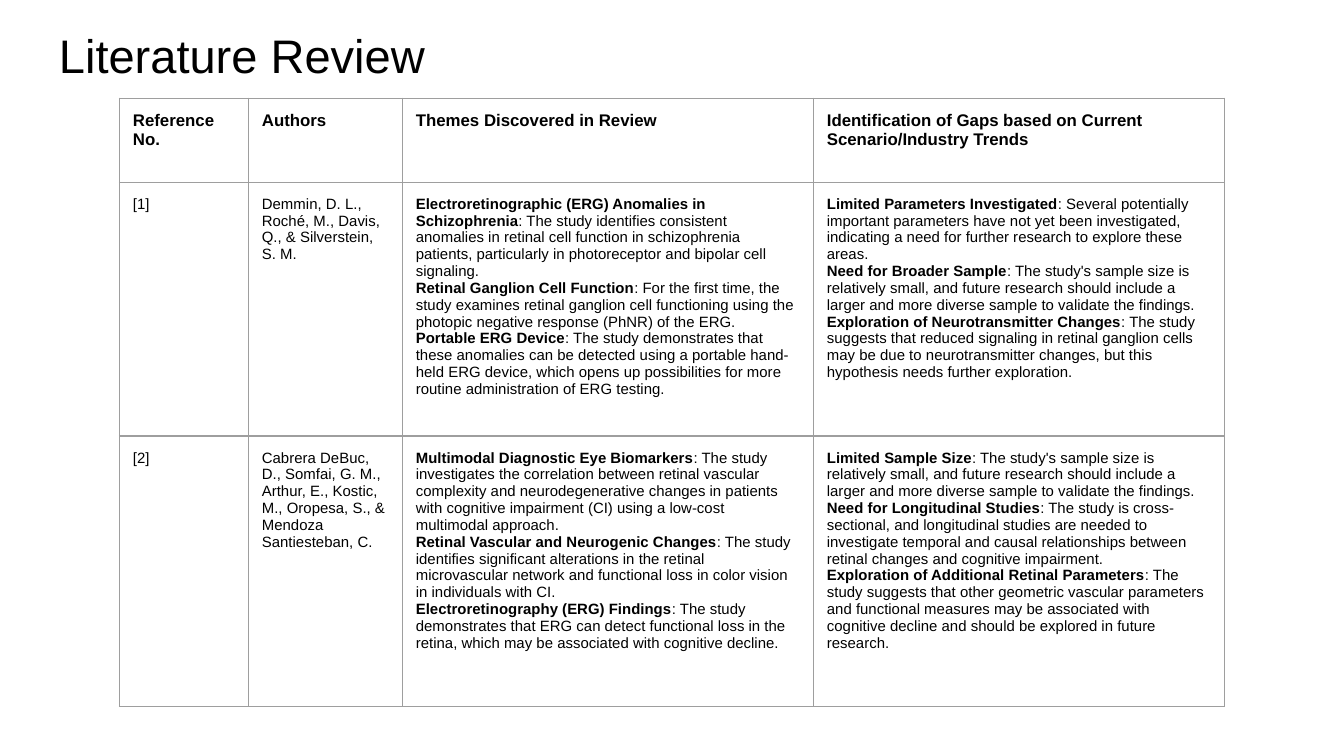
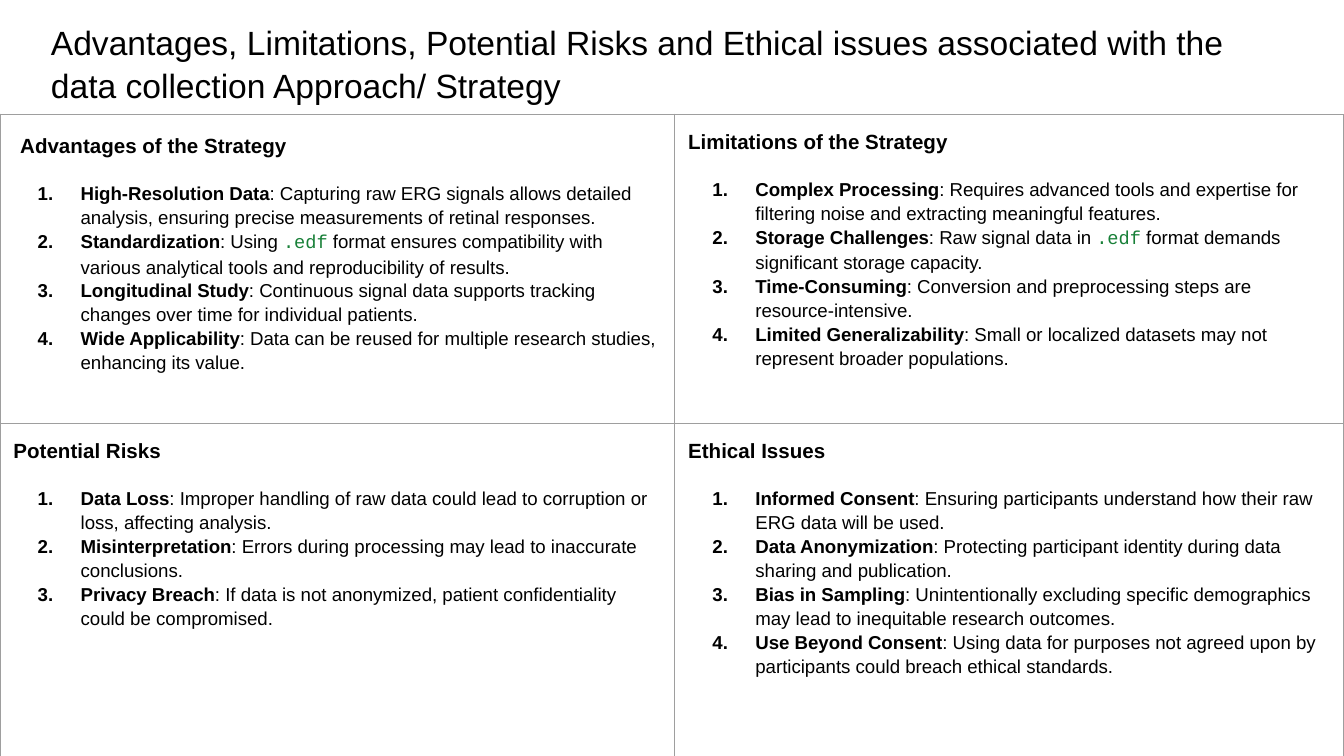
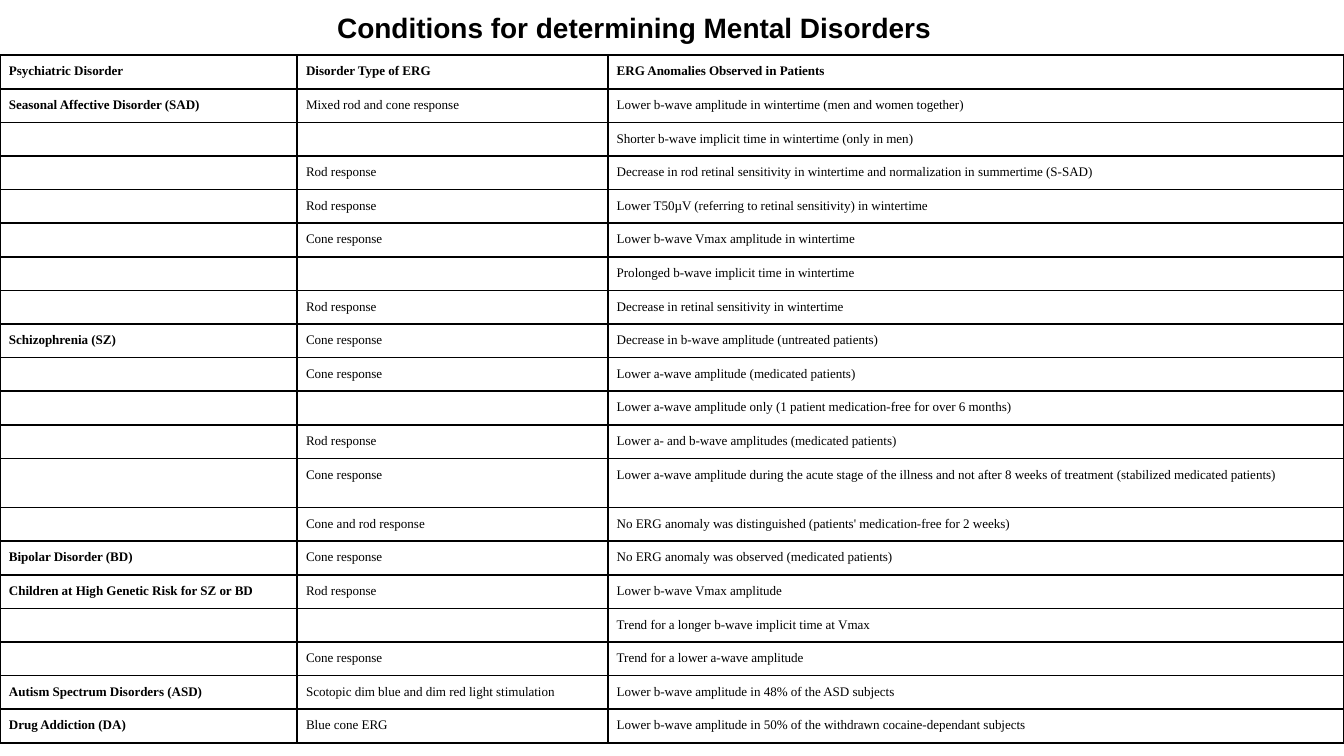
from lxml.etree import SubElement
from pptx import Presentation
from pptx.dml.color import RGBColor
from pptx.enum.text import MSO_ANCHOR, PP_ALIGN
from pptx.oxml import parse_xml
from pptx.oxml.ns import nsdecls, qn
from pptx.util import Pt

BLACK, GREY, GREEN = "000000", "9E9E9E", "188038"
SANS, SERIF, MONO = "Arial", "Times New Roman", "Courier New"
CODE_WORD = ".edf"
TITLE_SPACING = 1.07
LIST_LEFT, LIST_HANG = 36, 23

REVIEW_HEADS = [
    "Reference No.",
    "Authors",
    "Themes Discovered in Review",
    "Identification of Gaps based on Current Scenario/Industry Trends",
]
REVIEWS = [
    (
        "[1]",
        "Demmin, D. L., Roché, M., Davis, Q., & Silverstein, S. M.",
        [
            ("Electroretinographic (ERG) Anomalies in Schizophrenia",
             ": The study identifies consistent anomalies in retinal cell function in schizophrenia "
             "patients, particularly in photoreceptor and bipolar cell signaling."),
            ("Retinal Ganglion Cell Function",
             ": For the first time, the study examines retinal ganglion cell functioning using the "
             "photopic negative response (PhNR) of the ERG."),
            ("Portable ERG Device",
             ": The study demonstrates that these anomalies can be detected using a portable hand-held "
             "ERG device, which opens up possibilities for more routine administration of ERG testing."),
        ],
        [
            ("Limited Parameters Investigated",
             ": Several potentially important parameters have not yet been investigated, indicating a "
             "need for further research to explore these areas."),
            ("Need for Broader Sample",
             ": The study's sample size is relatively small, and future research should include a "
             "larger and more diverse sample to validate the findings."),
            ("Exploration of Neurotransmitter Changes",
             ": The study suggests that reduced signaling in retinal ganglion cells may be due to "
             "neurotransmitter changes, but this hypothesis needs further exploration."),
        ],
    ),
    (
        "[2]",
        "Cabrera DeBuc, D., Somfai, G. M., Arthur, E., Kostic, M., Oropesa, S., & Mendoza Santiesteban, C.",
        [
            ("Multimodal Diagnostic Eye Biomarkers",
             ": The study investigates the correlation between retinal vascular complexity and "
             "neurodegenerative changes in patients with cognitive impairment (CI) using a low-cost "
             "multimodal approach."),
            ("Retinal Vascular and Neurogenic Changes",
             ": The study identifies significant alterations in the retinal microvascular network and "
             "functional loss in color vision in individuals with CI."),
            ("Electroretinography (ERG) Findings",
             ": The study demonstrates that ERG can detect functional loss in the retina, which may be "
             "associated with cognitive decline."),
        ],
        [
            ("Limited Sample Size",
             ": The study's sample size is relatively small, and future research should include a "
             "larger and more diverse sample to validate the findings."),
            ("Need for Longitudinal Studies",
             ": The study is cross-sectional, and longitudinal studies are needed to investigate "
             "temporal and causal relationships between retinal changes and cognitive impairment."),
            ("Exploration of Additional Retinal Parameters",
             ": The study suggests that other geometric vascular parameters and functional measures may "
             "be associated with cognitive decline and should be explored in future research."),
        ],
    ),
]

STRATEGY = [
    [
        ("Advantages of the Strategy", [
            ("High-Resolution Data",
             ": Capturing raw ERG signals allows detailed analysis, ensuring precise measurements of "
             "retinal responses."),
            ("Standardization",
             ": Using .edf format ensures compatibility with various analytical tools and "
             "reproducibility of results."),
            ("Longitudinal Study",
             ": Continuous signal data supports tracking changes over time for individual patients."),
            ("Wide Applicability",
             ": Data can be reused for multiple research studies, enhancing its value."),
        ]),
        ("Limitations of the Strategy", [
            ("Complex Processing",
             ": Requires advanced tools and expertise for filtering noise and extracting meaningful "
             "features."),
            ("Storage Challenges",
             ": Raw signal data in .edf format demands significant storage capacity."),
            ("Time-Consuming",
             ": Conversion and preprocessing steps are resource-intensive."),
            ("Limited Generalizability",
             ": Small or localized datasets may not represent broader populations."),
        ]),
    ],
    [
        ("Potential Risks", [
            ("Data Loss",
             ": Improper handling of raw data could lead to corruption or loss, affecting analysis."),
            ("Misinterpretation",
             ": Errors during processing may lead to inaccurate conclusions."),
            ("Privacy Breach",
             ": If data is not anonymized, patient confidentiality could be compromised."),
        ]),
        ("Ethical Issues", [
            ("Informed Consent",
             ": Ensuring participants understand how their raw ERG data will be used."),
            ("Data Anonymization",
             ": Protecting participant identity during data sharing and publication."),
            ("Bias in Sampling",
             ": Unintentionally excluding specific demographics may lead to inequitable research "
             "outcomes."),
            ("Use Beyond Consent",
             ": Using data for purposes not agreed upon by participants could breach ethical "
             "standards."),
        ]),
    ],
]

DISORDERS = [
    ("Psychiatric Disorder", "Disorder Type of ERG", "ERG Anomalies Observed in Patients"),
    ("Seasonal Affective Disorder (SAD)", "Mixed rod and cone response",
     "Lower b-wave amplitude in wintertime (men and women together)"),
    ("", "", "Shorter b-wave implicit time in wintertime (only in men)"),
    ("", "Rod response",
     "Decrease in rod retinal sensitivity in wintertime and normalization in summertime (S-SAD)"),
    ("", "Rod response", "Lower T50µV (referring to retinal sensitivity) in wintertime"),
    ("", "Cone response", "Lower b-wave Vmax amplitude in wintertime"),
    ("", "", "Prolonged b-wave implicit time in wintertime"),
    ("", "Rod response", "Decrease in retinal sensitivity in wintertime"),
    ("Schizophrenia (SZ)", "Cone response", "Decrease in b-wave amplitude (untreated patients)"),
    ("", "Cone response", "Lower a-wave amplitude (medicated patients)"),
    ("", "", "Lower a-wave amplitude only (1 patient medication-free for over 6 months)"),
    ("", "Rod response", "Lower a- and b-wave amplitudes (medicated patients)"),
    ("", "Cone response",
     "Lower a-wave amplitude during the acute stage of the illness and not after 8 weeks of treatment "
     "(stabilized medicated patients)"),
    ("", "Cone and rod response",
     "No ERG anomaly was distinguished (patients' medication-free for 2 weeks)"),
    ("Bipolar Disorder (BD)", "Cone response", "No ERG anomaly was observed (medicated patients)"),
    ("Children at High Genetic Risk for SZ or BD", "Rod response", "Lower b-wave Vmax amplitude"),
    ("", "", "Trend for a longer b-wave implicit time at Vmax"),
    ("", "Cone response", "Trend for a lower a-wave amplitude"),
    ("Autism Spectrum Disorders (ASD)", "Scotopic dim blue and dim red light stimulation",
     "Lower b-wave amplitude in 48% of the ASD subjects"),
    ("Drug Addiction (DA)", "Blue cone ERG",
     "Lower b-wave amplitude in 50% of the withdrawn cocaine-dependant subjects"),
]
TALL_ROW = 12


def color(value):
    """Turn a hex string into a colour."""
    return RGBColor.from_string(value)


def apply(target, values):
    """Set every attribute named in a dict on an object."""
    for name, value in values.items():
        setattr(target, name, value)


def add_span(para, text, size, bold=False, font=SANS, ink=BLACK):
    """Append one formatted run to a paragraph."""
    span = para.add_run()
    span.text = text
    apply(span.font, {"name": font, "size": Pt(size), "bold": bold})
    span.font.color.rgb = color(ink)


def add_point(para, lead, rest, size):
    """Write a bold lead and plain text, with the file suffix as code."""
    add_span(para, lead, size, bold=True)
    before, code, after = rest.partition(CODE_WORD)
    add_span(para, before, size)
    if code:
        add_span(para, code, size, font=MONO, ink=GREEN)
        add_span(para, after, size)


def next_para(frame, index):
    """Return the first paragraph of a frame or a new one after it."""
    return frame.add_paragraph() if index else frame.paragraphs[0]


def number_para(para, size):
    """Give a paragraph a hanging automatic number."""
    props = para._p.get_or_add_pPr()
    apply_indent(props, LIST_LEFT, -LIST_HANG)
    for xml in (
        f'<a:buClr {nsdecls("a")}><a:srgbClr val="{BLACK}"/></a:buClr>',
        f'<a:buSzPts {nsdecls("a")} val="{size * 100}"/>',
        f'<a:buFont {nsdecls("a")} typeface="{SANS}"/>',
        f'<a:buAutoNum {nsdecls("a")} type="arabicPeriod"/>',
    ):
        props.append(parse_xml(xml))


def apply_indent(props, left, first):
    """Set the left margin and first-line indent of a paragraph."""
    props.set("marL", str(Pt(left)))
    props.set("indent", str(Pt(first)))


def add_title(page, box, text, size, bold=False):
    """Place a page title in a box."""
    frame = page.shapes.add_textbox(*map(Pt, box)).text_frame
    margins = {f"margin_{side}": Pt(7.2) for side in ("left", "right", "top", "bottom")}
    apply(frame, {"word_wrap": True, "vertical_anchor": MSO_ANCHOR.TOP, **margins})
    para = frame.paragraphs[0]
    para.line_spacing = TITLE_SPACING
    add_span(para, text, size, bold)


def add_grid(page, corner, widths, heights, line, weight, margin):
    """Place an unfilled table with even borders and margins."""
    box = (*corner, sum(widths), sum(heights))
    grid = page.shapes.add_table(len(heights), len(widths), *map(Pt, box)).table
    apply(grid, {"first_row": False, "horz_banding": False})
    for column, width in zip(grid.columns, widths):
        column.width = Pt(width)
    for row, height in zip(grid.rows, heights):
        row.height = Pt(height)
    for cell in grid.iter_cells():
        apply(cell, {f"margin_{side}": Pt(margin) for side in ("left", "right", "top", "bottom")})
        cell.fill.background()
        props = cell._tc.get_or_add_tcPr()
        for index, side in enumerate("LRTB"):
            props.insert(index, parse_xml(
                f'<a:ln{side} {nsdecls("a")} w="{Pt(weight)}"><a:solidFill>'
                f'<a:srgbClr val="{line}"/></a:solidFill></a:ln{side}>'))
    return grid


def build_review(page):
    """Build the literature review page."""
    add_title(page, (24.5, 5, 671, 45.4), "Literature Review", 25.2)
    grid = add_grid(page, (64, 52.6), (69.1, 82.5, 220.2, 220.2), (45, 136, 144.8), GREY, 0.75, 7.2)
    for column, head in enumerate(REVIEW_HEADS):
        add_span(grid.cell(0, column).text_frame.paragraphs[0], head, 9, bold=True)
    for row, (*labels, themes, gaps) in enumerate(REVIEWS, 1):
        for column, label in enumerate(labels):
            add_span(grid.cell(row, column).text_frame.paragraphs[0], label, 8)
        for column, points in enumerate((themes, gaps), len(labels)):
            frame = grid.cell(row, column).text_frame
            for index, point in enumerate(points):
                add_point(next_para(frame, index), *point, 8)


def fill_quadrant(cell, heading, points):
    """Write a heading and its numbered points in one cell."""
    frame = cell.text_frame
    para = frame.paragraphs[0]
    para.line_spacing = 1.15
    add_span(para, heading, 11, bold=True)
    for index, point in enumerate(points, 1):
        para = next_para(frame, index)
        apply(para, {"line_spacing": 1.15, "space_before": Pt(12 if index == 1 else 0)})
        number_para(para, 10)
        add_point(para, *point, 10)


def build_strategy(page):
    """Build the page of four strategy quadrants."""
    grid = add_grid(page, (0, 61.2), (361.5, 358.5), (165.6, 178.6), GREY, 0.75, 7.2)
    for row, quadrants in enumerate(STRATEGY):
        for column, quadrant in enumerate(quadrants):
            fill_quadrant(grid.cell(row, column), *quadrant)
    first = grid.cell(0, 0)
    first.margin_top = Pt(9.4)
    apply_indent(first.text_frame.paragraphs[0]._p.get_or_add_pPr(), 3.6, 0)
    add_title(page, (20.2, 2.9, 679.7, 58.3),
              "Advantages, Limitations, Potential Risks and Ethical issues associated with the "
              "data collection Approach/ Strategy", 18)


def build_disorders(page):
    """Build the page listing anomalies by disorder."""
    heights = [26.4 if row == TALL_ROW else 17.85 for row in range(len(DISORDERS))]
    grid = add_grid(page, (0, 29.6), (159.2, 166.4, 394.4), heights, BLACK, 1, 4.8)
    for row, texts in enumerate(DISORDERS):
        for column, text in enumerate(texts):
            para = grid.cell(row, column).text_frame.paragraphs[0]
            para.alignment = PP_ALIGN.JUSTIFY
            if text:
                add_span(para, text, 7, bold=row == 0 or column == 0, font=SERIF)
            else:
                SubElement(para._p, qn("a:endParaRPr"), sz="700")
    add_title(page, (173.5, -2.9, 373.7, 32.4), "Conditions for determining Mental Disorders", 15, bold=True)


def main():
    """Build the deck and save it."""
    deck = Presentation()
    apply(deck, {"slide_width": Pt(720), "slide_height": Pt(405)})
    for build in (build_review, build_strategy, build_disorders):
        build(deck.slides.add_slide(deck.slide_layouts[6]))
    deck.save("out.pptx")


if __name__ == "__main__":
    main()
